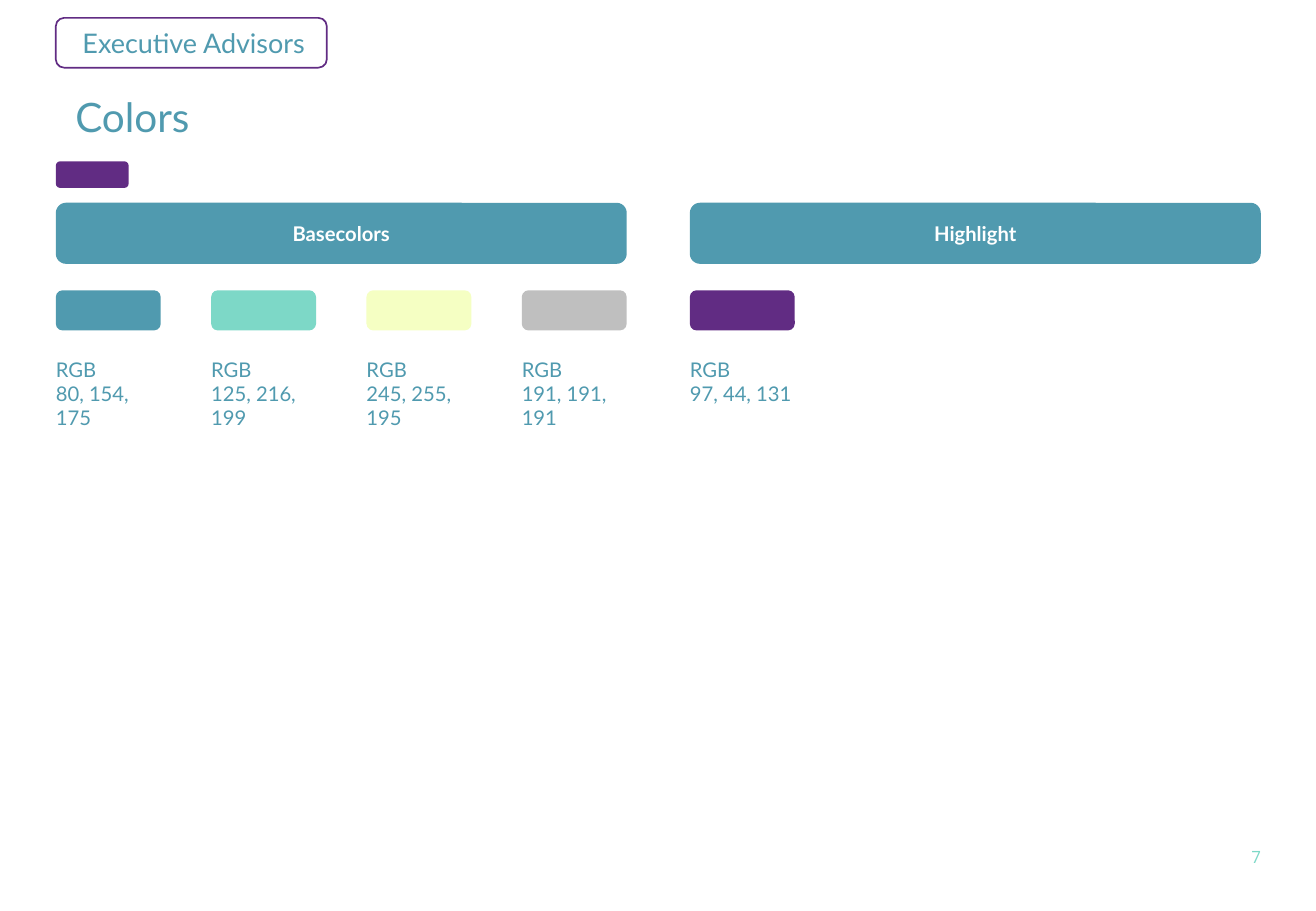
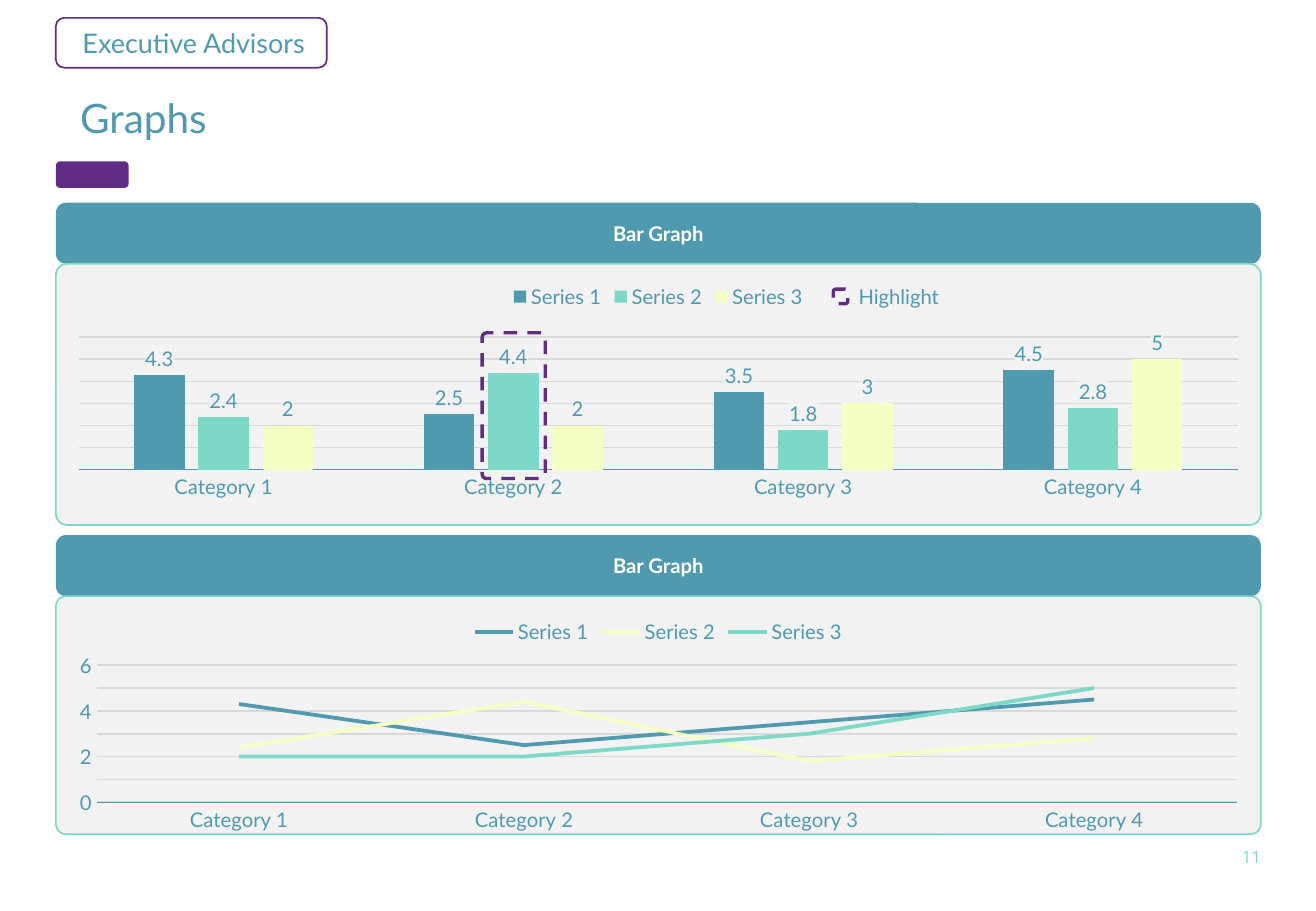
from lxml import etree
from pptx import Presentation
from pptx.chart.data import CategoryChartData
from pptx.dml.color import RGBColor
from pptx.enum.chart import XL_CHART_TYPE as ChartType
from pptx.enum.chart import XL_LABEL_POSITION as LabelPosition
from pptx.enum.chart import XL_LEGEND_POSITION as LegendPosition
from pptx.enum.chart import XL_TICK_MARK as TickMark
from pptx.enum.dml import MSO_LINE
from pptx.enum.shapes import MSO_SHAPE
from pptx.enum.text import MSO_ANCHOR as Anchor
from pptx.enum.text import MSO_AUTO_SIZE as AutoSize
from pptx.enum.text import PP_ALIGN as Align
from pptx.oxml import parse_xml
from pptx.oxml.ns import nsdecls, qn
from pptx.util import Pt

TEAL = RGBColor(80, 154, 175)
MINT = RGBColor(125, 216, 199)
LEMON = RGBColor(245, 255, 195)
SILVER = RGBColor(191, 191, 191)
PURPLE = RGBColor(97, 44, 131)
PANEL_GREY = RGBColor(242, 242, 242)
GRID_GREY = RGBColor(217, 217, 217)
WHITE = RGBColor(255, 255, 255)

LEFT = 33.1
CONTENT_WIDTH = 714.2
COLUMN_WIDTH = 338.4
HEADING_TOP = 120.2
HEADING_HEIGHT = 36.2


def write(shape, text, size=12, color=TEAL, bold=False, font="Lato",
          align=Align.LEFT, anchor=Anchor.TOP, insets=(0, 0, 0, 0)):
    frame = shape.text_frame
    frame.word_wrap = True
    frame.auto_size = AutoSize.NONE
    frame.vertical_anchor = anchor
    frame.margin_left, frame.margin_top, frame.margin_right, frame.margin_bottom = map(Pt, insets)
    paragraph = frame.paragraphs[0]
    paragraph.text = text
    paragraph.alignment = align
    for run in paragraph.runs:
        run.font.name = font
        run.font.size = Pt(size)
        run.font.bold = bold
        run.font.color.rgb = color


def rounded(slide, left, top, width, height, fill=None, line=None,
            weight=1, dash=None, corner=None):
    box = slide.shapes.add_shape(MSO_SHAPE.ROUNDED_RECTANGLE, Pt(left), Pt(top), Pt(width), Pt(height))
    box.shadow.inherit = False
    if fill is None:
        box.fill.background()
    else:
        box.fill.solid()
        box.fill.fore_color.rgb = fill
    if line is None:
        box.line.fill.background()
    else:
        box.line.color.rgb = line
        box.line.width = Pt(weight)
        box.line.dash_style = dash
    if corner is not None:
        box.adjustments[0] = corner
    return box


deck = Presentation()
deck.slide_width, deck.slide_height = Pt(780), Pt(540)
title_layout = deck.slide_layouts[5]
layout_title = title_layout.placeholders[0]
layout_title.left, layout_title.top = Pt(LEFT), Pt(51.8)
layout_title.width, layout_title.height = Pt(672.5), Pt(42.5)

pages = [
    ("Colors", "7", (11.5, 2.9, 2.9, 3.6)),
    ("Graphs", "11", (14.4, 3.6, 14.4, 3.6)),
]
for title, number, title_insets in pages:
    slide = deck.slides.add_slide(title_layout)
    write(slide.shapes.title, title, size=24, insets=title_insets)
    firm_tag = rounded(slide, LEFT, 10.6, 160.6, 29.5, line=PURPLE)
    write(firm_tag, "Executive Advisors", size=16, anchor=Anchor.MIDDLE, insets=(14.4, 3.6, 7.2, 3.6))
    rounded(slide, LEFT, 95.6, 43.2, 15.8, fill=PURPLE)
    page_number = slide.shapes.add_textbox(Pt(725), Pt(500.4), Pt(29.5), Pt(15.1))
    write(page_number, number, size=10, color=MINT, font="Open Sans",
          align=Align.RIGHT, anchor=Anchor.MIDDLE, insets=(7.2, 3.6, 7.2, 3.6))

colors_slide, graphs_slide = deck.slides
HIGHLIGHT_LEFT = LEFT + CONTENT_WIDTH - COLUMN_WIDTH
SWATCH_WIDTH = 62.2
swatch_pitch = (COLUMN_WIDTH - SWATCH_WIDTH) / 3

headings = [
    (colors_slide, "Basecolors", LEFT, HEADING_TOP, COLUMN_WIDTH),
    (colors_slide, "Highlight", HIGHLIGHT_LEFT, HEADING_TOP, COLUMN_WIDTH),
    (graphs_slide, "Bar Graph", LEFT, HEADING_TOP, CONTENT_WIDTH),
    (graphs_slide, "Bar Graph", LEFT, 317.2, CONTENT_WIDTH),
]
for slide, heading, left, top, width in headings:
    band = rounded(slide, left, top, width, HEADING_HEIGHT, fill=TEAL)
    write(band, heading, color=WHITE, bold=True, align=Align.CENTER, anchor=Anchor.MIDDLE)

swatches = [
    (LEFT, TEAL, "RGB\n80, 154,\n175"),
    (LEFT + swatch_pitch, MINT, "RGB\n125, 216,\n199"),
    (LEFT + 2 * swatch_pitch, LEMON, "RGB\n245, 255,\n195"),
    (LEFT + 3 * swatch_pitch, SILVER, "RGB\n191, 191,\n191"),
    (HIGHLIGHT_LEFT, PURPLE, "RGB\n97, 44, 131"),
]
for left, color, rgb_values in swatches:
    rounded(colors_slide, left, 172.1, SWATCH_WIDTH, 23.8, fill=color)
    caption = colors_slide.shapes.add_textbox(Pt(left), Pt(211.7), Pt(72), Pt(47.5))
    write(caption, rgb_values)

figures = CategoryChartData()
figures.categories = [f"Category {n}" for n in range(1, 5)]
figures.add_series("Series 1", (4.3, 2.5, 3.5, 4.5))
figures.add_series("Series 2", (2.4, 4.4, 1.8, 2.8))
figures.add_series("Series 3", (2, 2, 3, 5))

graphs = [
    (ChartType.COLUMN_CLUSTERED, 156.4, 154.8, 160.6, 185.8, 1, (TEAL, MINT, LEMON)),
    (ChartType.LINE, 353.4, 141.1, 359.3, 136.1, 0.75, (TEAL, LEMON, MINT)),
]
for kind, panel_top, panel_height, top, height, axis_weight, series_colors in graphs:
    rounded(graphs_slide, LEFT, panel_top, CONTENT_WIDTH, panel_height,
            fill=PANEL_GREY, line=MINT, corner=0.043)
    chart = graphs_slide.shapes.add_chart(
        kind, Pt(LEFT), Pt(top), Pt(CONTENT_WIDTH), Pt(height), figures).chart
    chart.has_title = False
    chart.font.name = "Lato"
    chart.font.size = Pt(10)
    chart.font.color.rgb = TEAL
    chart.has_legend = True
    chart.legend.position = LegendPosition.TOP
    chart.legend.include_in_layout = False
    categories, values = chart.category_axis, chart.value_axis
    for font in (chart.legend.font, categories.tick_labels.font, values.tick_labels.font):
        font.name = "Lato"
        font.size = Pt(12)
        font.color.rgb = TEAL
    for axis in (categories, values):
        axis.major_tick_mark = axis.minor_tick_mark = TickMark.NONE
    categories.format.line.color.rgb = TEAL
    categories.format.line.width = Pt(axis_weight)
    values.minimum_scale, values.maximum_scale, values.major_unit = 0, 6, 1
    values.format.line.fill.background()
    values.has_major_gridlines = True
    values.major_gridlines.format.line.color.rgb = GRID_GREY
    values.major_gridlines.format.line.width = Pt(1)
    plot = chart.plots[0]
    plot.vary_by_categories = False

    for series, color in zip(plot.series, series_colors):
        if kind == ChartType.LINE:
            series.smooth = False
            series.format.line.color.rgb = color
            series.format.line.width = Pt(2.25)
            continue
        series.format.fill.solid()
        series.format.fill.fore_color.rgb = color
        labels = series.data_labels
        labels.show_value = True
        labels.position = LabelPosition.OUTSIDE_END
        labels.font.name = "Lato"
        labels.font.size = Pt(12)
        labels.font.color.rgb = TEAL
        label_fill = parse_xml(
            f'<c:spPr {nsdecls("c", "a")}><a:solidFill><a:srgbClr val="{PANEL_GREY}"/></a:solidFill></c:spPr>')
        labels._element.find(qn("c:txPr")).addprevious(label_fill)

    if kind == ChartType.COLUMN_CLUSTERED:
        values.visible = False
        plot.gap_width, plot.overlap = 219, -27
        plot_area = chart._chartSpace.chart.plotArea
        for automatic in plot_area.findall(qn("c:layout")):
            plot_area.remove(automatic)
        layout = parse_xml(f'<c:layout {nsdecls("c")}/>')
        manual = etree.SubElement(layout, qn("c:manualLayout"))
        for tag, setting in (("layoutTarget", "inner"), ("xMode", "edge"), ("yMode", "edge"),
                             ("x", "0.019"), ("y", "0.212"), ("w", "0.962"), ("h", "0.422")):
            etree.SubElement(manual, qn(f"c:{tag}")).set("val", setting)
        plot_area.insert(0, layout)

highlights = [
    (285.8, 197.3, 37.4, 86.4, 0.069),
    (493.9, 171.4, 8.6, 8.6, None),
]
for left, top, width, height, corner in highlights:
    rounded(graphs_slide, left, top, width, height, line=PURPLE, weight=2,
            dash=MSO_LINE.DASH, corner=corner)
highlight_key = graphs_slide.shapes.add_textbox(Pt(501.8), Pt(164.9), Pt(72), Pt(21.6))
write(highlight_key, "Highlight", insets=(7.2, 3.6, 7.2, 3.6))

deck.save("out.pptx")
